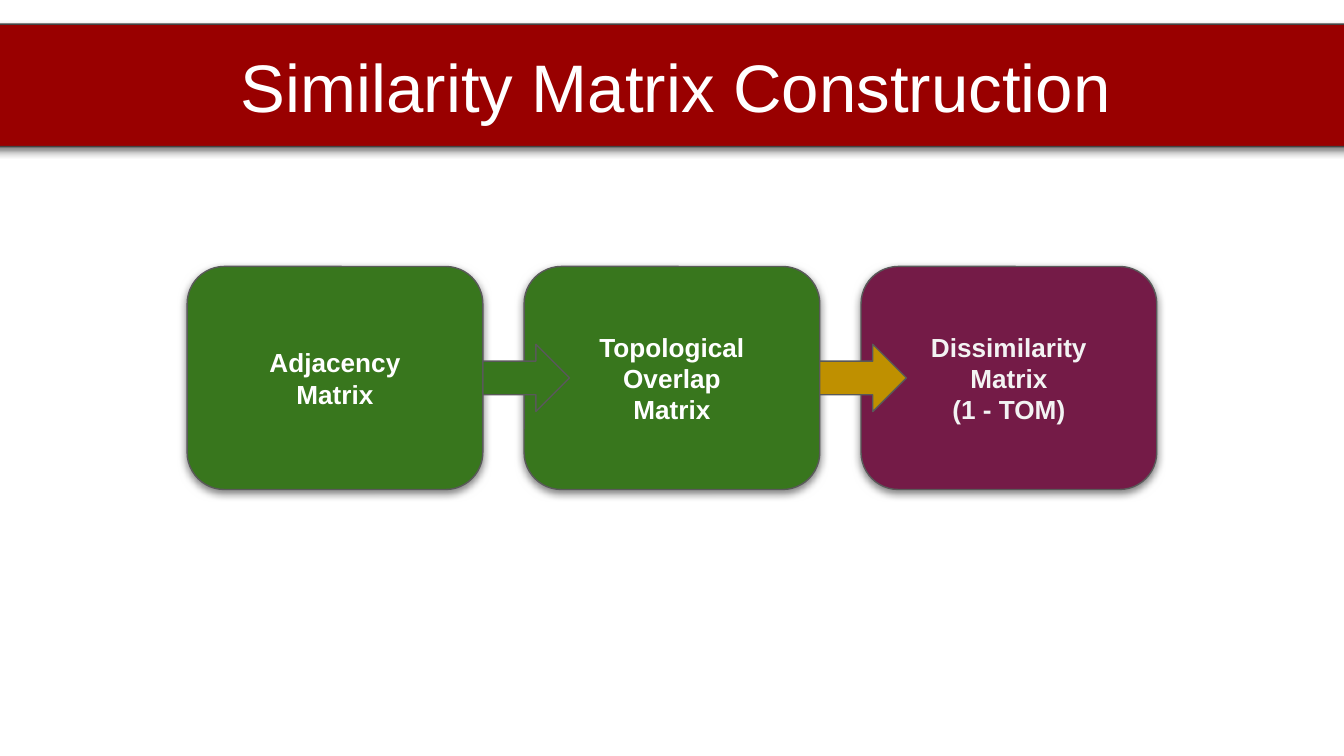
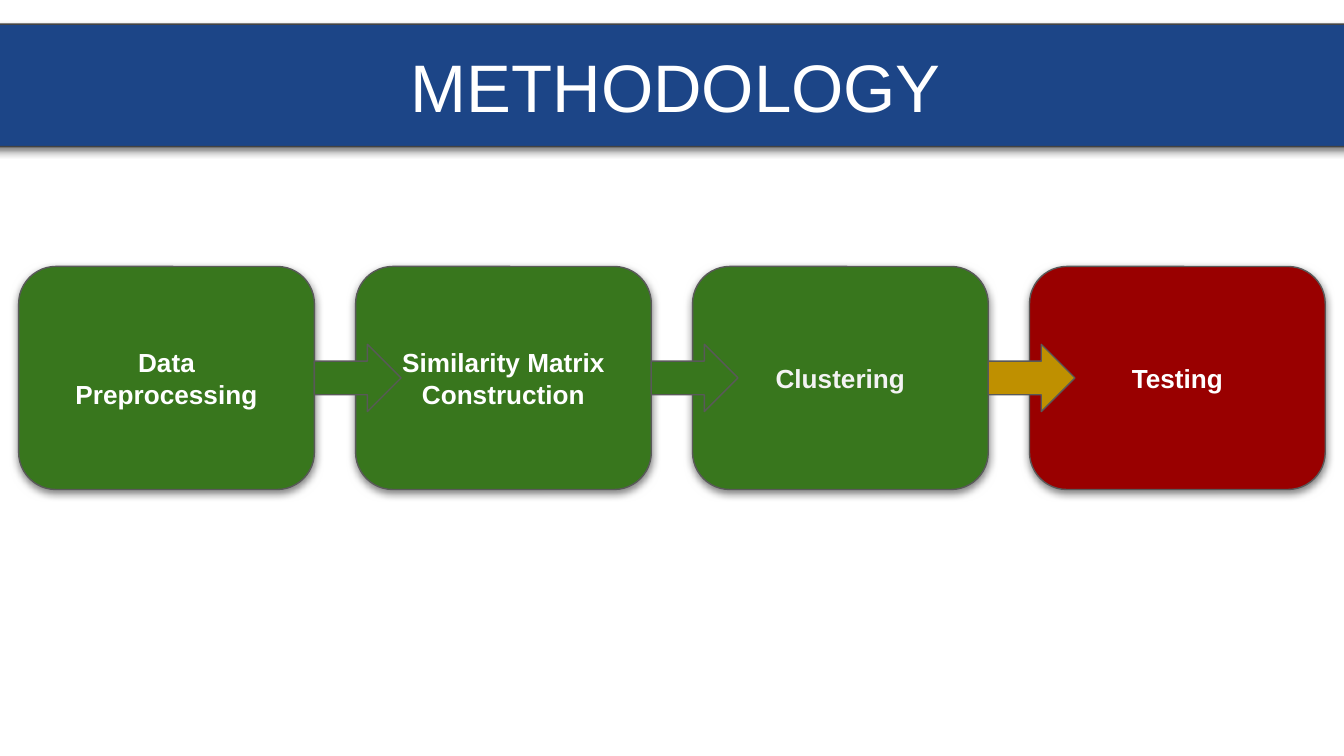
from dataclasses import dataclass

from lxml import etree
from pptx import Presentation
from pptx.dml.color import RGBColor
from pptx.enum.shapes import MSO_SHAPE
from pptx.enum.text import MSO_ANCHOR, PP_ALIGN
from pptx.oxml.ns import qn
from pptx.shapes.autoshape import Shape
from pptx.slide import Slide
from pptx.util import Inches, Pt

ROUNDED = MSO_SHAPE.ROUNDED_RECTANGLE
ARROW = MSO_SHAPE.RIGHT_ARROW
MIDDLE = MSO_ANCHOR.MIDDLE
CENTER = PP_ALIGN.CENTER

COLORS = {
    "white": "FFFFFF",
    "pale": "F3F3F3",
    "green": "38761D",
    "red": "990000",
    "blue": "1C4587",
    "plum": "741B47",
    "gold": "BF9000",
    "outline": "595959",
    "band_outline": "434343",
    "shadow": "000000",
}
FONT = "Arial"
SLIDE_WIDTH = Inches(10)
SLIDE_HEIGHT = Inches(5.625)

# PERCENT
STEP_WIDTH, STEP_HEIGHT, STEP_GAP = 22.0, 29.5, 3.07
ARROW_WIDTH, ARROW_HEIGHT = 6.45, 8.9


@dataclass(frozen=True)
class Area:
    left: float
    top: float
    width: float
    height: float


@dataclass(frozen=True)
class Step:
    text: str
    fill: str = "green"
    color: str = "white"
    arrow: str = "green"


@dataclass(frozen=True)
class Process:
    title: str
    band: str
    steps: tuple[Step, ...]


BAND = Area(-2.7, 3.2, 106, 16.2)

PROCESSES = (
    Process("Similarity Matrix Construction", "red", (
        Step("Adjacency\nMatrix"),
        Step("Topological\nOverlap\nMatrix", arrow="gold"),
        Step("Dissimilarity\nMatrix\n(1 - TOM)", "plum", "pale"),
    )),
    Process("METHODOLOGY", "blue", (
        Step("Data\nPreprocessing"),
        Step("Similarity Matrix\nConstruction"),
        Step("Clustering", color="pale", arrow="gold"),
        Step("Testing", "red"),
    )),
)


def rgb(name: str) -> RGBColor:
    return RGBColor.from_string(COLORS[name])


def add_block(slide: Slide, kind: int, area: Area, fill: str,
              outline: str = "outline") -> Shape:
    shape = slide.shapes.add_shape(
        kind,
        round(SLIDE_WIDTH * area.left / 100),
        round(SLIDE_HEIGHT * area.top / 100),
        round(SLIDE_WIDTH * area.width / 100),
        round(SLIDE_HEIGHT * area.height / 100),
    )
    shape.fill.solid()
    shape.fill.fore_color.rgb = rgb(fill)
    shape.line.color.rgb = rgb(outline)
    shape.line.width = Pt(0.75)
    shape.shadow.inherit = False
    return shape


def add_shadow(shape: Shape) -> None:
    effects = shape._element.spPr.find(qn("a:effectLst"))
    shadow = etree.SubElement(
        effects, qn("a:outerShdw"), blurRad=str(Pt(4.5)), dist=str(Pt(1.5)),
        dir="5400000", algn="bl", rotWithShape="0")
    color = etree.SubElement(shadow, qn("a:srgbClr"), val=COLORS["shadow"])
    etree.SubElement(color, qn("a:alpha"), val="50000")


def write_text(shape: Shape, text: str, size: float, color: str,
               bold: bool = False) -> None:
    frame = shape.text_frame
    frame.word_wrap = True
    frame.vertical_anchor = MIDDLE
    frame.margin_left = frame.margin_right = Inches(0.1)
    frame.margin_top = frame.margin_bottom = Inches(0.1)
    frame.text = text
    for paragraph in frame.paragraphs:
        paragraph.alignment = CENTER
        paragraph.font.name = FONT
        paragraph.font.size = Pt(size)
        paragraph.font.bold = bold
        paragraph.font.color.rgb = rgb(color)


def add_band(slide: Slide, process: Process) -> None:
    band = add_block(slide, ROUNDED, BAND, process.band, "band_outline")
    add_shadow(band)
    write_text(band, process.title, 36, "white")


def add_steps(slide: Slide, steps: tuple[Step, ...]) -> None:
    pitch = STEP_WIDTH + STEP_GAP
    first_left = (100 - len(steps) * pitch + STEP_GAP) / 2
    lefts = [first_left + index * pitch for index in range(len(steps))]
    for step, left in zip(steps, lefts):
        area = Area(left, 50 - STEP_HEIGHT / 2, STEP_WIDTH, STEP_HEIGHT)
        box = add_block(slide, ROUNDED, area, step.fill)
        add_shadow(box)
        write_text(box, step.text, 14, step.color, bold=True)
    for step, left in zip(steps[:-1], lefts):
        area = Area(left + STEP_WIDTH, 50 - ARROW_HEIGHT / 2,
                    ARROW_WIDTH, ARROW_HEIGHT)
        add_block(slide, ARROW, area, step.arrow)


def main() -> None:
    presentation = Presentation()
    presentation.slide_width = SLIDE_WIDTH
    presentation.slide_height = SLIDE_HEIGHT
    blank = presentation.slide_layouts[6]
    for process in PROCESSES:
        slide = presentation.slides.add_slide(blank)
        add_band(slide, process)
        add_steps(slide, process.steps)
    presentation.save("out.pptx")


if __name__ == "__main__":
    main()
